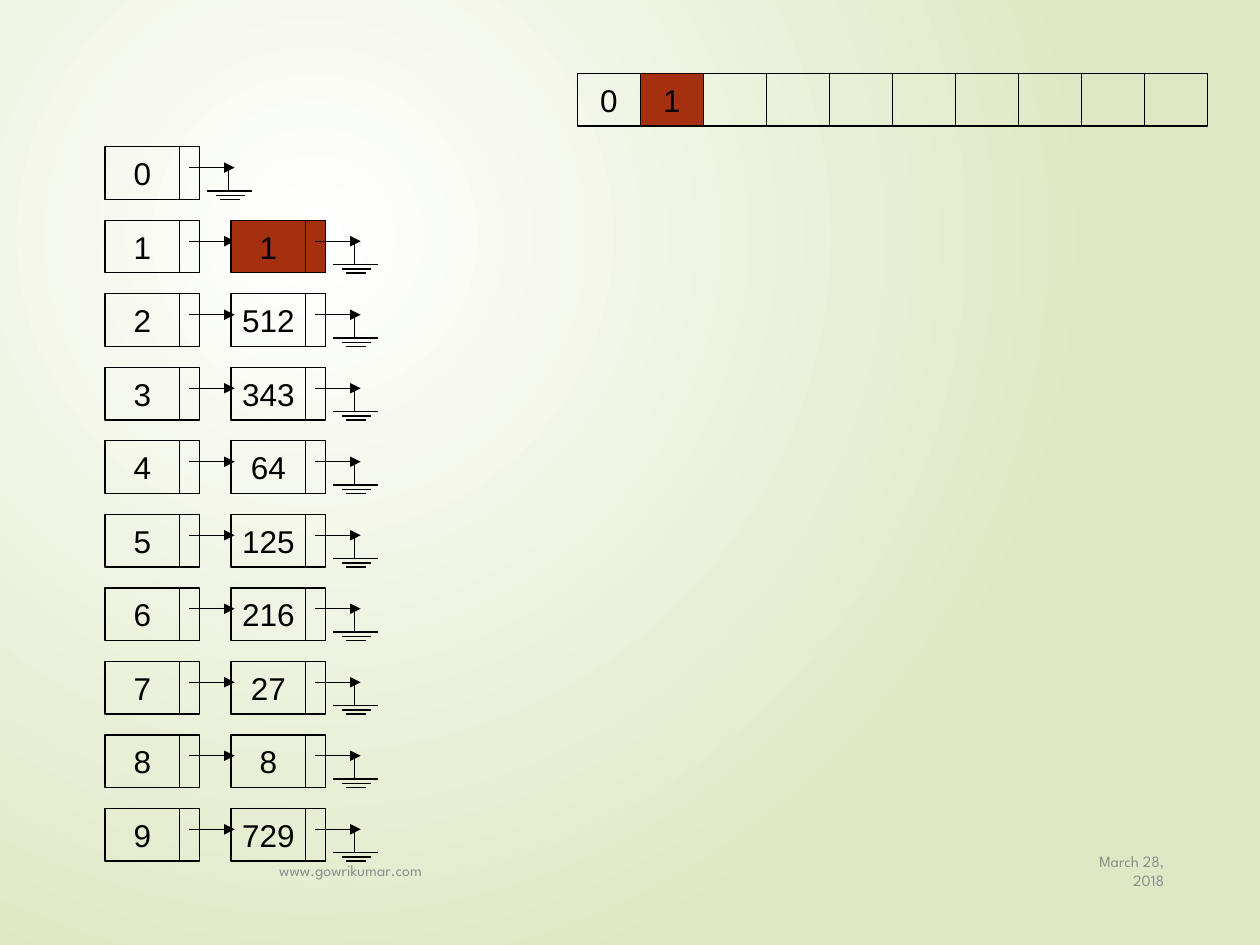
from pptx import Presentation, util as u
from pptx.dml.color import RGBColor
from pptx.enum import shapes, text
from pptx.oxml import ns, parse_xml

BLACK = RGBColor(0, 0, 0)
RED = RGBColor(0xA5, 0x30, 0x10)
GREY = RGBColor(0x8C, 0x8C, 0x8C)
WHITE = RGBColor(0xFF, 0xFF, 0xFF)
GREEN = RGBColor(0xDF, 0xE8, 0xC4)
Cm = u.Cm


def box(home, x, y, wide, label="", fill=None):
    rect = home.shapes.add_shape(
        shapes.MSO_SHAPE.RECTANGLE, Cm(x), Cm(y), Cm(wide), Cm(1.06))
    rect.shadow.inherit = False
    rect.line.color.rgb = BLACK
    rect.line.width = u.Pt(0.75)
    if fill is None:
        rect.fill.background()
    else:
        rect.fill.solid()
        rect.fill.fore_color.rgb = fill
    if label:
        frame = rect.text_frame
        frame.word_wrap = False
        frame.vertical_anchor = text.MSO_ANCHOR.MIDDLE
        para = frame.paragraphs[0]
        para.alignment = text.PP_ALIGN.CENTER
        run = para.add_run()
        run.text = label
        run.font.name = "Arial"
        run.font.size = u.Pt(18)
        run.font.color.rgb = BLACK


def stroke(home, x1, y1, x2, y2, head=False):
    line = home.shapes.add_connector(
        shapes.MSO_CONNECTOR.STRAIGHT, Cm(x1), Cm(y1), Cm(x2), Cm(y2))
    line.line.color.rgb = BLACK
    line.line.width = u.Pt(0.75)
    props = line.element.spPr
    if head:
        tip = parse_xml(f'<a:tailEnd {ns.nsdecls("a")} type="triangle"/>')
        props.find(ns.qn("a:ln")).append(tip)
    props.append(parse_xml(f'<a:effectLst {ns.nsdecls("a")}/>'))


deck = Presentation()
deck.slide_width, deck.slide_height = Cm(25.4), Cm(19.05)
slide = deck.slides.add_slide(deck.slide_layouts[6])

fill = slide.background.fill
fill.gradient()
for stop, place, tone in zip(fill.gradient_stops, (0, 1), (WHITE, GREEN)):
    stop.position = place
    stop.color.rgb = tone
lin = slide.element.find(".//" + ns.qn("a:lin"))
lin.getparent().replace(lin, parse_xml(
    f'<a:path {ns.nsdecls("a")} path="circle">'
    '<a:fillToRect l="50000" t="50000" r="100000" b="100000"/></a:path>'))

foot = [
    ("March 28, 2018", 21.59, 2.13, text.PP_ALIGN.RIGHT),
    ("www.gowrikumar.com", 5.38, 15.88, text.PP_ALIGN.LEFT),
]
for words, x, wide, align in foot:
    frame = slide.shapes.add_textbox(
        Cm(x), Cm(17.04), Cm(wide), Cm(1.02)).text_frame
    frame.word_wrap = True
    frame.vertical_anchor = text.MSO_ANCHOR.MIDDLE
    para = frame.paragraphs[0]
    para.alignment = align
    run = para.add_run()
    run.text = words
    run.font.name = "League Spartan"
    run.font.size = u.Pt(9)
    run.font.color.rgb = GREY

sorted_out = ["0", "1"] + [""] * 8
for i, label in enumerate(sorted_out):
    box(slide, 11.64 + 1.27 * i, 1.48, 1.27, label, RED if i == 1 else None)

chains = [[], ["1"], ["512"], ["343"], ["64"],
          ["125"], ["216"], ["27"], ["8"], ["729"]]
ground = [(2.06, 0.89, 2.97, 0.89), (2.31, 1.06, 2.72, 1.06),
          (2.24, 0.98, 2.82, 0.98), (2.49, 0.89, 2.49, 0.42)]
for row, chain in enumerate(chains):
    y = 2.96 + 1.482 * row
    nodes = [str(row)] + chain
    for col, label in enumerate(nodes):
        x = 2.12 + 2.54 * col
        tone = RED if (row, col) == (1, 1) else None
        node = slide.shapes.add_group_shape()
        box(node, x, y, 1.5, label, tone)
        box(node, x + 1.5, y, 0.4, fill=tone)
        stroke(node, x + 1.69, y + 0.42, x + 2.61, y + 0.42, head=True)
        if col == len(nodes) - 1:
            for x1, y1, x2, y2 in ground:
                stroke(node, x + x1, y + y1, x + x2, y + y2)

deck.save("out.pptx")
